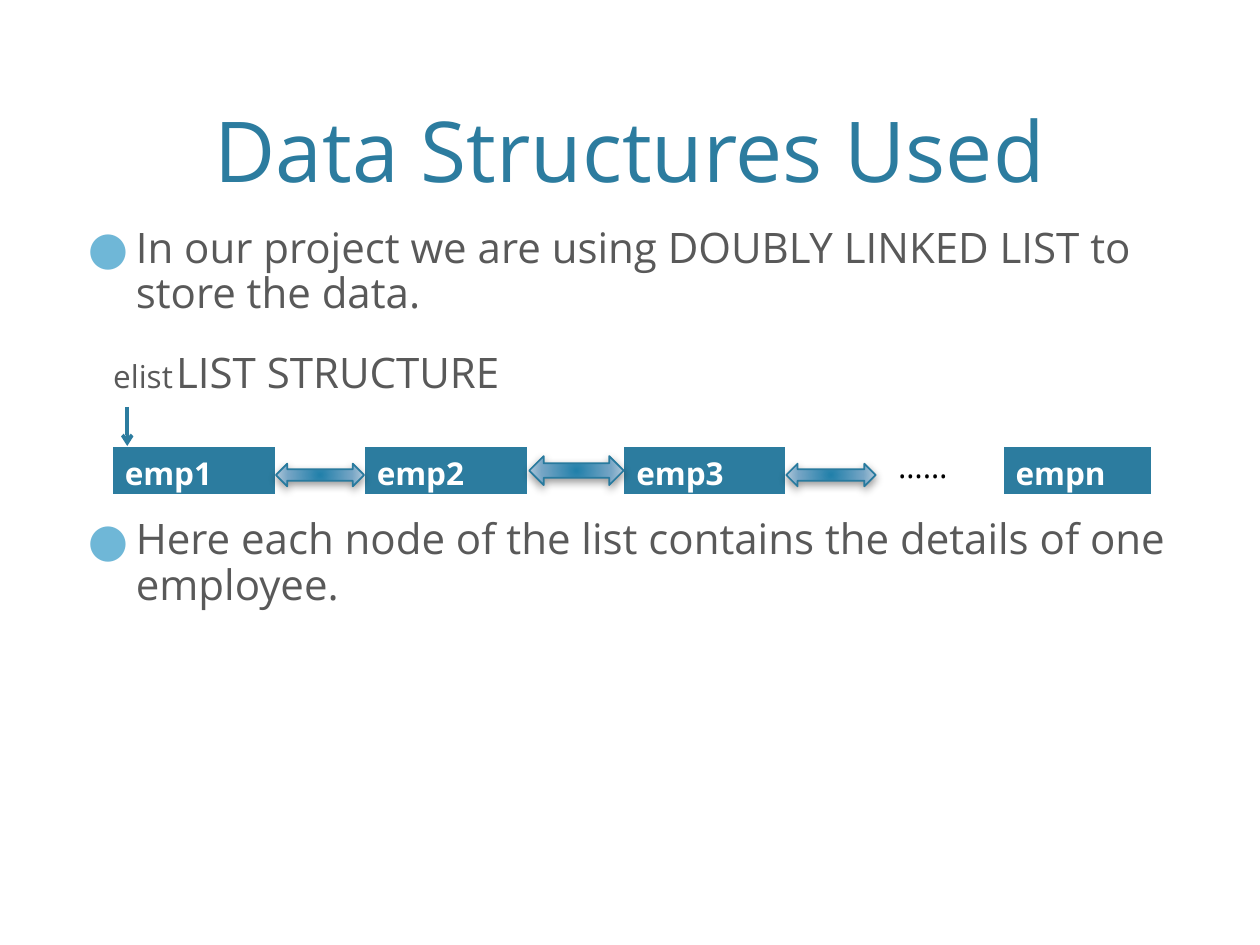
from lxml import etree
from pptx import Presentation
from pptx.dml.color import RGBColor
from pptx.enum import shapes, text
from pptx.oxml import parse_xml
from pptx.oxml.ns import qn
from pptx.util import Inches, Pt

BLUE = RGBColor(0x2C, 0x7C, 0x9F)
EDGE = RGBColor(0x28, 0x7A, 0x9E)
GREY = RGBColor(0x59, 0x59, 0x59)
BLACK = RGBColor(0, 0, 0)
WHITE = RGBColor(0xFF, 0xFF, 0xFF)
NS = 'xmlns:a="http://schemas.openxmlformats.org/drawingml/2006/main"'

deck = Presentation()
deck.slide_width = Inches(10)
deck.slide_height = Inches(7.5)
slide = deck.slides.add_slide(deck.slide_layouts[6])


def style(para, size, color, bold=False):
    for run in para.runs:
        run.font.name = "Open Sans"
        run.font.size = Pt(size)
        run.font.color.rgb = color
        run.font.bold = bold


def add_text(x, y, w, h, words, size, color):
    box = slide.shapes.add_textbox(Inches(x), Inches(y), Inches(w), Inches(h))
    frame = box.text_frame
    frame.word_wrap = True
    frame.text = words
    for para in frame.paragraphs:
        style(para, size, color)
    return frame


title = add_text(0.6, 0.12, 8.8, 1.46, "Data Structures Used", 48, BLUE)
title.vertical_anchor = text.MSO_ANCHOR.BOTTOM
title.margin_bottom = 0
title.paragraphs[0].alignment = text.PP_ALIGN.CENTER

body = add_text(
    0.6, 1.75, 8.8, 4.75,
    "In our project we are using DOUBLY LINKED LIST to store the data.\n"
    "elist\n"
    "Here each node of the list contains the details of one employee.",
    24, GREY)
first, label, last = body.paragraphs
for para, gap in ((first, 0), (label, 20), (last, 69)):
    para.space_before = Pt(gap)
    para.line_spacing = 0.9

for para in (first, last):
    props = para._p.get_or_add_pPr()
    props.set("marL", str(Inches(0.38)))
    props.set("indent", str(-Inches(0.38)))
    for part in ('<a:buClr %s><a:srgbClr val="6FB7D7"/></a:buClr>',
                 '<a:buSzPct %s val="110000"/>',
                 '<a:buFont %s typeface="Open Sans"/>',
                 '<a:buChar %s char="●"/>'):
        props.append(parse_xml(part % NS))

props = label._p.get_or_add_pPr()
props.set("marL", str(Inches(0.2)))
props.set("indent", "0")
props.append(parse_xml(
    f'<a:tabLst {NS}><a:tab pos="{Inches(3.07)}" algn="l"/></a:tabLst>'))
label.add_run().text = "\tLIST STRUCTURE"
style(label, 24, GREY)
label.runs[0].font.size = Pt(18)

for name, x, w in (("emp1", 0.89, 1.3), ("emp2", 2.89, 1.3),
                   ("emp3", 4.95, 1.29), ("empn", 7.96, 1.18)):
    node = slide.shapes.add_table(
        1, 1, Inches(x), Inches(3.54), Inches(w), Inches(0.4))
    cell = node.table.cell(0, 0)
    cell.text = name
    style(cell.text_frame.paragraphs[0], 18, WHITE, True)
    props = cell._tc.get_or_add_tcPr()
    for side, width in (("L", 1), ("R", 1), ("T", 1), ("B", 3)):
        props.append(parse_xml(
            f'<a:ln{side} {NS} w="{Pt(width)}"><a:solidFill>'
            f'<a:srgbClr val="FFFFFF"/></a:solidFill></a:ln{side}>'))
    cell.fill.solid()
    cell.fill.fore_color.rgb = BLUE

stops = "".join(
    f'<a:gs pos="{pos}000"><a:srgbClr val="{color}"/></a:gs>'
    for pos, color in ((0, "2180AA"), (69, "75A5C5"), (100, "B8CCDC")))
blend = (f'<a:gradFill {NS}><a:gsLst>{stops}</a:gsLst><a:path path="circle">'
         '<a:fillToRect l="50000" t="50000" r="50000" b="50000"/>'
         '</a:path></a:gradFill>')
shade = (f'<a:effectLst {NS}><a:outerShdw blurRad="{Pt(5)}" dist="{Pt(2)}" '
         'dir="5400000" rotWithShape="0"><a:srgbClr val="000000">'
         '<a:alpha val="40000"/></a:srgbClr></a:outerShdw></a:effectLst>')
for x, y, w, h in ((2.19, 3.68, 0.7, 0.18), (4.2, 3.62, 0.75, 0.23),
                   (6.24, 3.68, 0.71, 0.18)):
    link = slide.shapes.add_shape(
        shapes.MSO_SHAPE.LEFT_RIGHT_ARROW,
        Inches(x), Inches(y), Inches(w), Inches(h))
    link.line.color.rgb = EDGE
    link.line.width = Pt(1)
    props = link._element.spPr
    props.find(qn("a:prstGeom")).addnext(parse_xml(blend))
    props.append(parse_xml(shade))

add_text(7.03, 3.5, 0.93, 0.4, "……", 18, BLACK)

head = slide.shapes.add_connector(
    shapes.MSO_CONNECTOR.STRAIGHT,
    Inches(1.01), Inches(3.23), Inches(1.01), Inches(3.54))
head.line.color.rgb = BLUE
head.line.width = Pt(2)
etree.SubElement(head.line._get_or_add_ln(), qn("a:tailEnd"), type="arrow")
etree.SubElement(head._element.spPr, qn("a:effectLst"))

deck.save("out.pptx")
